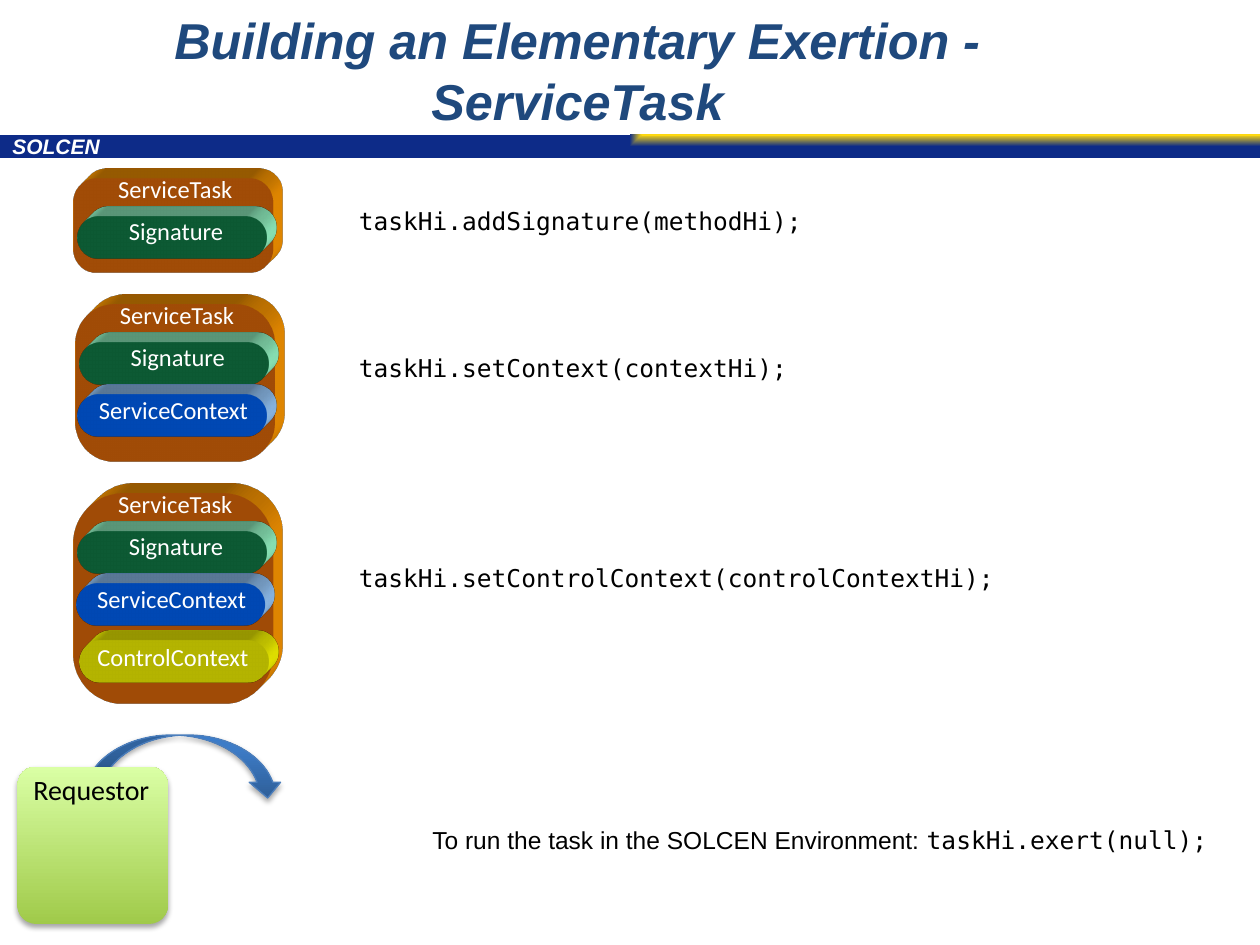
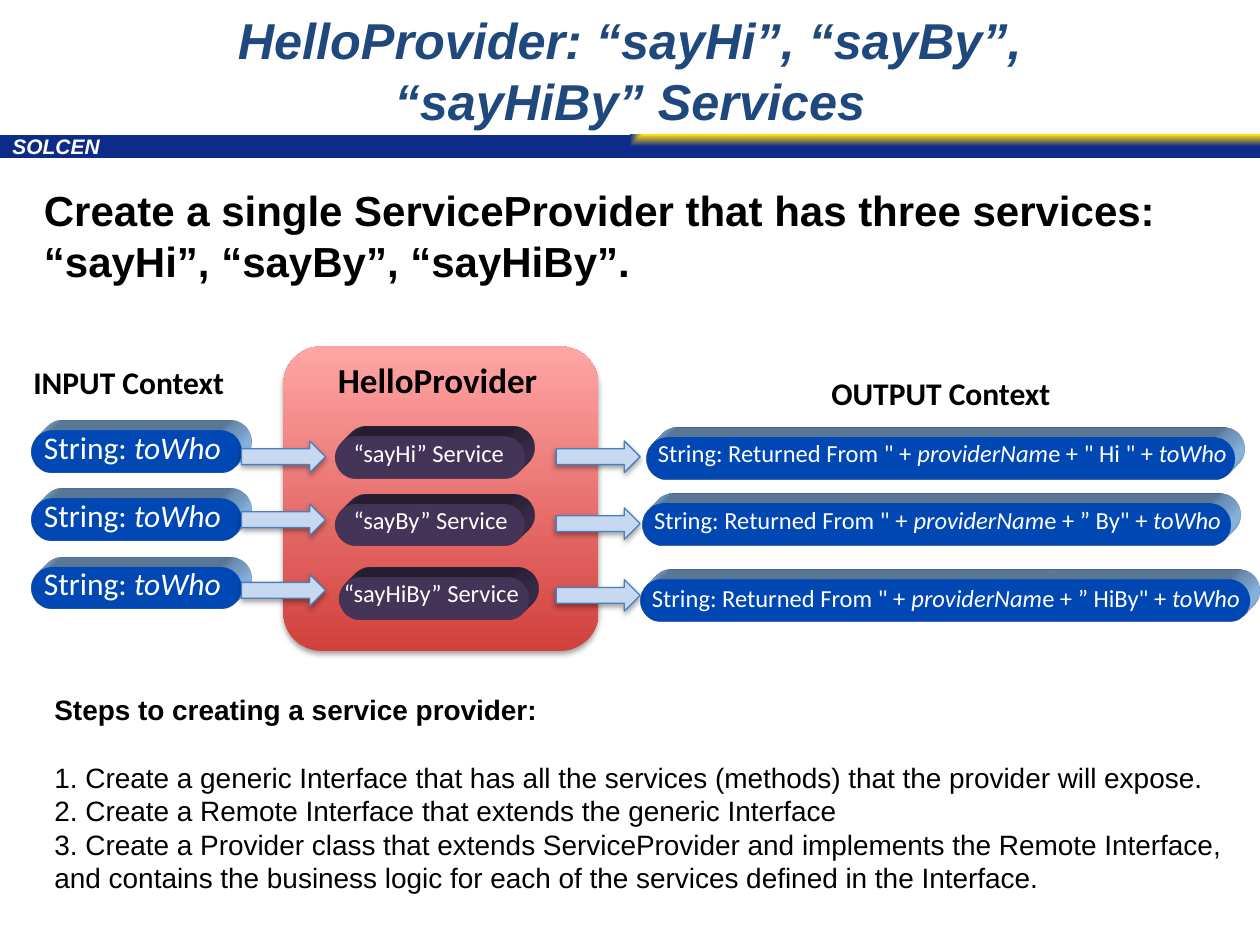
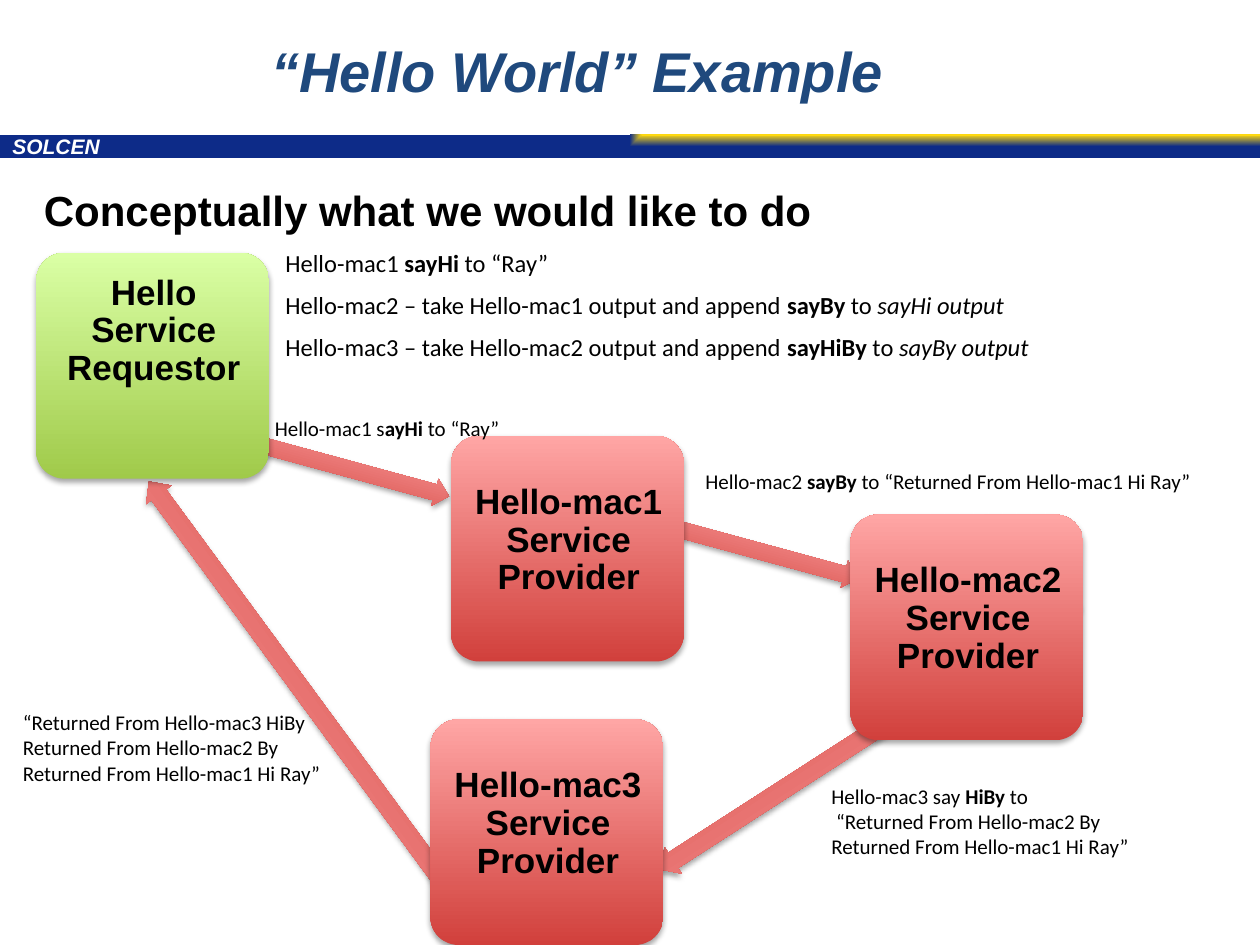
from dataclasses import dataclass

from lxml import etree
from pptx import Presentation
from pptx import util as u
from pptx.dml.color import RGBColor
from pptx.enum import shapes, text
from pptx.oxml import ns

SHAPE = shapes.MSO_SHAPE
ALIGN = text.PP_ALIGN
PLATFORM = "SOLCEN"


@dataclass(frozen=True)
class Theme:
    sans: str = "Arial"
    label: str = "Calibri"
    code: str = "DejaVu Sans Mono"
    black: str = "000000"
    white: str = "FFFFFF"
    title: str = "1F497D"
    outline: str = "4B7EBC"
    arrow: str = "C6D9F1"
    task: tuple = ("E46C0A", "FF9900")  # face, depth
    signature: tuple = ("12804A", "99FFCC")
    context: tuple = ("0066FF", "99CCFF")
    control: tuple = ("FFFF00", "FFFF00")
    service: tuple = ("604A7B", "403152")
    band: tuple = ((0, "FED910"), (100, "0D2B88"))
    green: tuple = ((0, "A0CA4A"), (100, "DAFFA5"))
    red: tuple = ((0, "D1403C"), (100, "FFA6A5"))
    blue: tuple = ((0, "2F5F99"), (80, "3D7CC7"), (100, "3A7CCB"))
    title_size: float = 28.8
    heading: int = 24
    box_title: int = 20
    subheading: int = 18
    body: int = 16
    small: int = 14
    note: int = 12


THEME = Theme()


def drawing_xml(markup):
    head, rest = markup.split(">", 1)
    return etree.fromstring(f'{head} {ns.nsdecls("a")}>{rest}')


def points(*lengths):
    return [u.Pt(length) for length in lengths]


def gradient(shape, stops, corner=False):
    """Fill from bottom to top, or out of the top right corner."""
    marks = "".join(f'<a:gs pos="{pos * 1000}"><a:srgbClr val="{color}"/></a:gs>'
                    for pos, color in stops)
    course = ('<a:path path="rect"><a:fillToRect l="100000" b="100000"/></a:path>'
              if corner else '<a:lin ang="16200000" scaled="0"/>')
    shape.fill.background()
    properties = shape.element.spPr
    properties.replace(properties.find(ns.qn("a:noFill")), drawing_xml(
        f'<a:gradFill rotWithShape="1"><a:gsLst>{marks}</a:gsLst>{course}</a:gradFill>'))


def add_shape(page, kind, area, fill, line=None, adjust=(), shadow=False, corner=False):
    shape = page.shapes.add_shape(kind, *points(*area))
    for index, value in enumerate(adjust):
        shape.adjustments[index] = value
    if isinstance(fill, str):
        shape.fill.solid()
        shape.fill.fore_color.rgb = RGBColor.from_string(fill)
    else:
        gradient(shape, fill, corner)
    if line:
        shape.line.color.rgb = RGBColor.from_string(line)
        shape.line.width = u.Pt(0.75)
    else:
        shape.line.fill.background()
    shape.shadow.inherit = False
    if shadow:
        shape.element.spPr.find(ns.qn("a:effectLst")).append(drawing_xml(
            '<a:outerShdw blurRad="40000" dist="23000" dir="5400000" rotWithShape="0">'
            '<a:srgbClr val="000000"><a:alpha val="35000"/></a:srgbClr></a:outerShdw>'))
    return shape


def add_solid(page, area, colors, roundness=0.5):
    """Rounded block with depth towards the top right."""
    face, depth = colors
    block = add_shape(page, SHAPE.ROUNDED_RECTANGLE, area, face, adjust=[roundness])
    block.element.spPr.append(drawing_xml(
        '<a:scene3d><a:camera prst="legacyObliqueTopRight"/>'
        '<a:lightRig rig="legacyFlat3" dir="b"/></a:scene3d>'))
    block.element.spPr.append(drawing_xml(
        '<a:sp3d extrusionH="201600" prstMaterial="legacyMatte">'
        '<a:bevelT w="13500" h="13500" prst="angle"/><a:bevelB w="13500" h="13500" prst="angle"/>'
        f'<a:extrusionClr><a:srgbClr val="{depth}"/></a:extrusionClr></a:sp3d>'))


def fill_text(frame, paras, size=THEME.small, font=THEME.label, color=THEME.black,
              bold=False, italic=False, align=None, spacing=None):
    """Each paragraph is a string or a list of strings and (string, format) pairs."""
    for index, spans in enumerate(paras):
        para = frame.paragraphs[0] if index == 0 else frame.add_paragraph()
        para.alignment = align
        para.line_spacing = spacing
        for part in [spans] if isinstance(spans, str) else spans:
            words, style = (part, {}) if isinstance(part, str) else part
            span = para.add_run()
            span.text = words
            span.font.name = style.get("font", font)
            span.font.size = u.Pt(size)
            span.font.bold = style.get("bold", bold)
            span.font.italic = style.get("italic", italic)
            span.font.color.rgb = RGBColor.from_string(color)


def add_text(page, area, *paras, wrap=False, **style):
    box = page.shapes.add_textbox(*points(*area))
    box.text_frame.word_wrap = wrap
    box.text_frame.auto_size = text.MSO_AUTO_SIZE.SHAPE_TO_FIT_TEXT
    fill_text(box.text_frame, paras, **style)
    return box


def bold(words):
    return words, {"bold": True}


def italic(words):
    return words, {"italic": True}


def add_page(deck, title, left=78, size=THEME.title_size):
    page = deck.slides.add_slide(deck.slide_layouts[5])
    box = page.shapes.title
    box.left, box.top, box.width, box.height = points(left, 1.5, 504, 77)
    box.text_frame.auto_size = text.MSO_AUTO_SIZE.NONE
    box.text_frame.vertical_anchor = text.MSO_ANCHOR.MIDDLE
    fill_text(box.text_frame, [title], size=size, font=THEME.sans, color=THEME.title,
              bold=True, italic=True, align=ALIGN.CENTER)
    return page


def share_band(deck, page):
    """Draw the band and its label, then hand them to the layout."""
    band = add_shape(page, SHAPE.RECTANGLE, (0, 77, 720, 13.5), THEME.band, corner=True)
    name = add_text(page, (0, 75.6, 396, 18.7), PLATFORM, wrap=True, size=THEME.note,
                    font=THEME.sans, color=THEME.white, bold=True, italic=True, spacing=0.8)
    for part in (band, name):
        deck.slide_layouts[5].shapes.element.append(part.element)


def task_stack(page, left, top, height, count):
    """A task block holding its first parts; label offsets follow each pill."""
    parts = [("Signature", THEME.signature, 2.6, 21.6, 24.5, 18, 71),
             ("ServiceContext", THEME.context, 1.5, 51.2, 6.5, 48, 100),
             ("ControlContext", THEME.control, 3.5, 84, 6.5, 81.6, 101.5)]
    add_solid(page, (left, top, 114, height), THEME.task, 0.25)
    add_text(page, (left + 18.5, top - 6, 83.5, 24.2), "ServiceTask", color=THEME.white)
    for name, colors, pill_x, pill_y, text_x, text_y, width in parts[:count]:
        add_solid(page, (left + pill_x, top + pill_y, 108, 24), colors)
        add_text(page, (left + text_x, top + text_y, width, 24.2), name, color=THEME.white)


def task_page(deck):
    page = add_page(deck, "Building an Elementary Exertion - ServiceTask")
    share_band(deck, page)
    add_shape(page, SHAPE.CURVED_DOWN_ARROW, (48, 420, 114, 36), THEME.blue,
              line=THEME.outline, shadow=True)
    add_shape(page, SHAPE.ROUNDED_RECTANGLE, (10, 438, 86, 90), THEME.green,
              adjust=[0.125], shadow=True)
    add_text(page, (12, 438, 81.5, 26.6), "Requestor", size=THEME.body)
    stacks = [(42, 102, 54, 114, "taskHi.addSignature(methodHi);"),
              (43, 174, 90, 198, "taskHi.setContext(contextHi);"),
              (42, 282, 120, 318, "taskHi.setControlContext(controlContextHi);")]
    for count, (left, top, height, call_top, call) in enumerate(stacks, 1):
        task_stack(page, left, top, height, count)
        add_text(page, (198, call_top, 384, 24.2), call, wrap=True, font=THEME.code)
    add_text(page, (240, 468, 462, 24.2),
             [f"To run the task in the {PLATFORM} Environment: ",
              ("taskHi.exert(null);", {"font": THEME.code})], wrap=True, font=THEME.sans)


def service_row(page, name, reply, input_top, input_arrow, service, output, output_arrow):
    """Input pill, arrow, service pill, arrow and output pill."""
    add_solid(page, (18, input_top, 120, 24), THEME.context)
    add_text(page, (18, input_top - 5, 120, 29), ["String: ", italic("toWho")],
             size=THEME.subheading, color=THEME.white)
    service_left, service_top, label_left, label_width = service
    add_solid(page, (service_left, service_top, 108, 24), THEME.service)
    add_text(page, (label_left, service_top - 3, label_width, 24.2), f"“{name}” Service",
             color=THEME.white)
    output_left, output_top, output_width, label_top = output
    add_solid(page, (output_left, output_top, output_width, 24), THEME.context)
    add_text(page, (output_left - 0.5, label_top, output_width + 11, 24.2),
             ['String: Returned From " + ', italic("providerNam"), f"e + {reply} + ",
              italic("toWho")], wrap=True, color=THEME.white)
    for left, top in ((138, input_arrow), (317.8, output_arrow)):
        add_shape(page, SHAPE.RIGHT_ARROW, (left, top, 48, 18), THEME.arrow,
                  line=THEME.outline, shadow=True)


def provider_page(deck):
    page = add_page(deck, "HelloProvider: “sayHi”, “sayBy”, “sayHiBy” Services", left=108)
    add_text(page, (18, 102, 660, 65.5), "Create a single ServiceProvider that has three "
             "services: “sayHi”, “sayBy”, “sayHiBy”.", wrap=True, size=THEME.heading,
             font=THEME.sans, bold=True)
    add_shape(page, SHAPE.ROUNDED_RECTANGLE, (162, 198, 180, 174), THEME.red,
              adjust=[0.125], shadow=True)
    for area, name, size in [((186, 201.6, 129.6, 31.7), "HelloProvider", THEME.box_title),
                             ((12, 204, 128, 29), "INPUT Context", THEME.subheading),
                             ((468, 210, 144, 29), "OUTPUT Context", THEME.subheading)]:
        add_text(page, area, name, size=size, bold=True)
    service_row(page, "sayHi", '" Hi "', 246, 252, (192, 249.5, 195, 101.5),
                (369.4, 249.8, 336, 247), 252)
    service_row(page, "sayBy", '” By"', 284.6, 288, (192, 288, 195, 103.7),
                (367.2, 287.6, 336, 285.1), 290.2)
    service_row(page, "sayHiBy", '” HiBy"', 324, 328.3, (194, 330, 189.4, 115.2),
                (366, 331.2, 348.5, 329.5), 331.2)
    steps = add_text(
        page, (24, 392.4, 696, 123.8), [bold("Steps to creating a service provider:")],
        "1. Create a generic Interface that has all the services (methods) that the "
        "provider will expose.",
        "2. Create a Remote Interface that extends the generic Interface",
        "3. Create a Provider class that extends ServiceProvider and implements the Remote "
        "Interface,  and contains the business logic for each of the services defined in "
        "the Interface.", wrap=True, size=THEME.body, font=THEME.sans)
    steps.text_frame.paragraphs[0].space_after = u.Pt(19.2)


def node(page, left, top, fill, *lines, drop=24):
    """A rounded block with its name centred on it."""
    add_shape(page, SHAPE.ROUNDED_RECTANGLE, (left, top, 133, 129), fill,
              adjust=[0.125], shadow=True)
    add_text(page, (left + 6, top + drop, 122.4, 73.4), *lines, size=THEME.box_title,
             font=THEME.sans, bold=True, align=ALIGN.CENTER, spacing=0.9)


def example_page(deck):
    page = add_page(deck, "“Hello World” Example", size=32)
    arrows = [((27.4, 380.2, 283, 18), 233.7), ((384.5, 308.2, 108, 16), 15.2),
              ((150.5, 261.4, 108, 16), 15.2), ((354.2, 411.1, 283, 18), 147.2)]
    for area, turn in arrows:
        arrow = add_shape(page, SHAPE.RIGHT_ARROW, area, THEME.red,
                          adjust=[0.583, 0.524], shadow=True)
        arrow.rotation = turn
    node(page, 20.7, 144.5, THEME.green, "Hello", "Service", "Requestor", drop=9)
    for number, (left, top) in enumerate([(257.8, 249), (486, 294), (246, 411)], 1):
        node(page, left, top, THEME.red, f"Hello-mac{number}", "Service", "Provider")
    add_text(page, (18, 102, 457, 36), "Conceptually what we would like to do",
             size=THEME.heading, font=THEME.sans, bold=True)
    plan = [(165, ["Hello-mac1 ", bold("sayHi"), " to “Ray”"]),
            (427, ["Hello-mac2 – take Hello-mac1 output and append ", bold("sayBy"),
                   " to ", italic("sayHi output")]),
            (441, ["Hello-mac3 – take Hello-mac2 output and append ", bold("sayHiBy"),
                   " to ", italic("sayBy output")])]
    for row, (width, line) in enumerate(plan):
        add_text(page, (156, 138 + 24 * row, width, 24.2), line)
    add_text(page, (150, 234, 144, 21.8), ["Hello-mac1 s", bold("ayHi"), " to “Ray”"],
             size=THEME.note)
    add_text(page, (396, 264, 293, 21.8), ["Hello-mac2 ", bold("sayBy"),
             " to “Returned From Hello-mac1 Hi Ray”"], size=THEME.note)
    add_text(page, (468, 444, 210, 51), ["Hello-mac3 say ", bold("HiBy"), " to"],
             " “Returned From Hello-mac2 By", "Returned From Hello-mac1 Hi Ray”",
             wrap=True, size=THEME.note)
    add_text(page, (6, 402, 210, 51),
             "“Returned From Hello-mac3 HiBy Returned From Hello-mac2 By",
             "Returned From Hello-mac1 Hi Ray”", wrap=True, size=THEME.note)


def main():
    deck = Presentation()
    deck.slide_width, deck.slide_height = points(720, 540)
    task_page(deck)
    provider_page(deck)
    example_page(deck)
    deck.save("out.pptx")


if __name__ == "__main__":
    main()
